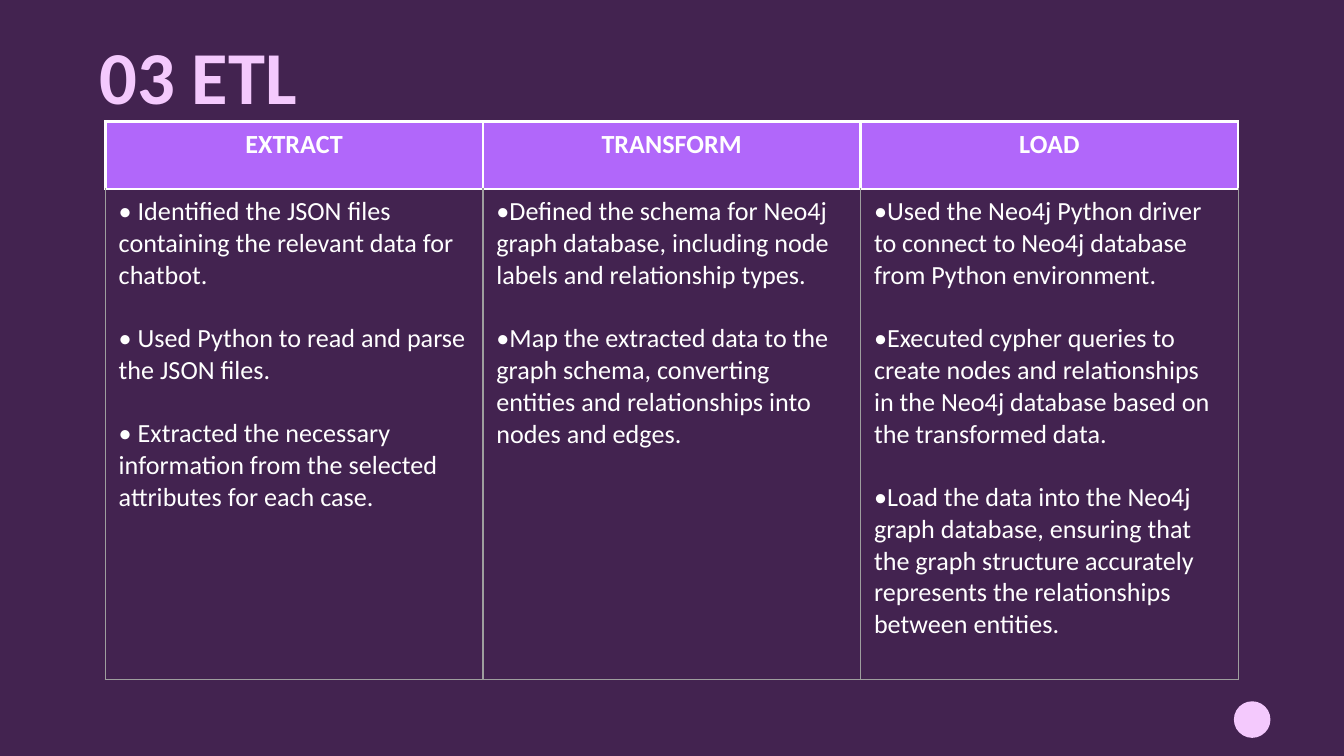
import dataclasses

import pptx
import pptx.dml.color
import pptx.enum.shapes
import pptx.enum.text
import pptx.oxml
import pptx.oxml.ns
import pptx.util

Pt = pptx.util.Pt
Color = pptx.dml.color.RGBColor.from_string
Align = pptx.enum.text.PP_ALIGN


@dataclasses.dataclass
class Theme:
    back: str = "432350"
    pink: str = "F4C9FD"
    head: str = "B167FA"
    white: str = "FFFFFF"
    gray: str = "9E9E9E"
    face: str = "Calibri"
    big: int = 40
    small: int = 14
    thick: float = 1.5
    thin: float = 0.75


def apply(item, values):
    for name, value in values.items():
        setattr(item, name, value)


class Deck:
    def __init__(self, theme):
        self.theme = theme
        self.show = pptx.Presentation()
        apply(self.show, {"slide_width": Pt(720), "slide_height": Pt(405)})
        self.slide = self.show.slides.add_slide(self.show.slide_layouts[5])
        self.paint(self.slide.background.fill, theme.back)

    def paint(self, fill, color):
        fill.solid()
        fill.fore_color.rgb = Color(color)

    def font(self, para, size, color, bold):
        apply(para.font, {"name": self.theme.face, "size": Pt(size), "bold": bold})
        para.font.color.rgb = Color(color)

    def title(self, text, left, top, width, height):
        box = self.slide.shapes.title
        apply(box, {"left": Pt(left), "top": Pt(top),
                    "width": Pt(width), "height": Pt(height)})
        frame = box.text_frame
        frame.text = text
        apply(frame, {
            "auto_size": pptx.enum.text.MSO_AUTO_SIZE.NONE,
            "vertical_anchor": pptx.enum.text.MSO_ANCHOR.TOP,
            "margin_left": Pt(7.2), "margin_right": Pt(7.2),
            "margin_top": Pt(8.8), "margin_bottom": Pt(7.2),
        })
        para = frame.paragraphs[0]
        para.alignment = Align.LEFT
        self.font(para, self.theme.big, self.theme.pink, True)

    def dot(self, left, top, size):
        kind = pptx.enum.shapes.MSO_SHAPE.OVAL
        dot = self.slide.shapes.add_shape(kind, Pt(left), Pt(top), Pt(size), Pt(size))
        dot.shadow.inherit = False
        self.paint(dot.fill, self.theme.pink)
        dot.line.fill.background()

    def edges(self, cell, lines):
        props = cell._tc.get_or_add_tcPr()
        space = pptx.oxml.ns.nsdecls("a")
        for side, (color, width) in lines.items():
            props.append(pptx.oxml.parse_xml(
                f'<a:ln{side} {space} w="{Pt(width)}"><a:solidFill>'
                f'<a:srgbClr val="{color}"/></a:solidFill></a:ln{side}>'))

    def words(self, cell, lines, align, bold):
        cell.text = "\n".join(lines)
        for place, para in enumerate(cell.text_frame.paragraphs):
            para.alignment = align
            if place:
                para.space_before = Pt(17)
            self.font(para, self.theme.small, self.theme.white, bold)

    def table(self, data, left, top, width, rows):
        frame = self.slide.shapes.add_table(
            2, len(data), Pt(left), Pt(top), Pt(width), Pt(sum(rows)))
        grid = frame.table
        apply(grid, {"first_row": False, "horz_banding": False})
        for row, height in zip(grid.rows, rows):
            row.height = Pt(height)
        strong = (self.theme.white, self.theme.thick)
        faint = (self.theme.gray, self.theme.thin)
        for col, (name, lines) in enumerate(data.items()):
            grid.columns[col].width = Pt(width / len(data))
            head, body = grid.cell(0, col), grid.cell(1, col)
            self.edges(head, dict.fromkeys("LRTB", strong))
            self.edges(body, {"L": faint, "R": faint, "T": strong, "B": faint})
            self.paint(head.fill, self.theme.head)
            body.fill.background()
            self.words(head, [name], Align.CENTER, True)
            self.words(body, lines, Align.LEFT, False)


def main():
    steps = {
        "EXTRACT": [
            "• Identified the JSON files containing the relevant data for chatbot.",
            "• Used Python to read and parse the JSON files.",
            "• Extracted the necessary information from the selected attributes for each case.",
        ],
        "TRANSFORM": [
            "•Defined the schema for Neo4j graph database, including node labels and relationship types.",
            "•Map the extracted data to the graph schema, converting entities and relationships into nodes and edges.",
        ],
        "LOAD": [
            "•Used the Neo4j Python driver to connect to Neo4j database from Python environment.",
            "•Executed cypher queries to create nodes and relationships in the Neo4j database based on the transformed data.",
            "•Load the data into the Neo4j graph database, ensuring that the graph structure accurately represents the relationships between entities.",
        ],
    }
    deck = Deck(Theme())
    deck.dot(661, 375.7, 19.6)
    deck.table(steps, 56.4, 65.2, 607, [36, 263])
    deck.title("03 ETL", 46, 7.2, 607, 45.4)
    deck.show.save("out.pptx")


if __name__ == "__main__":
    main()
